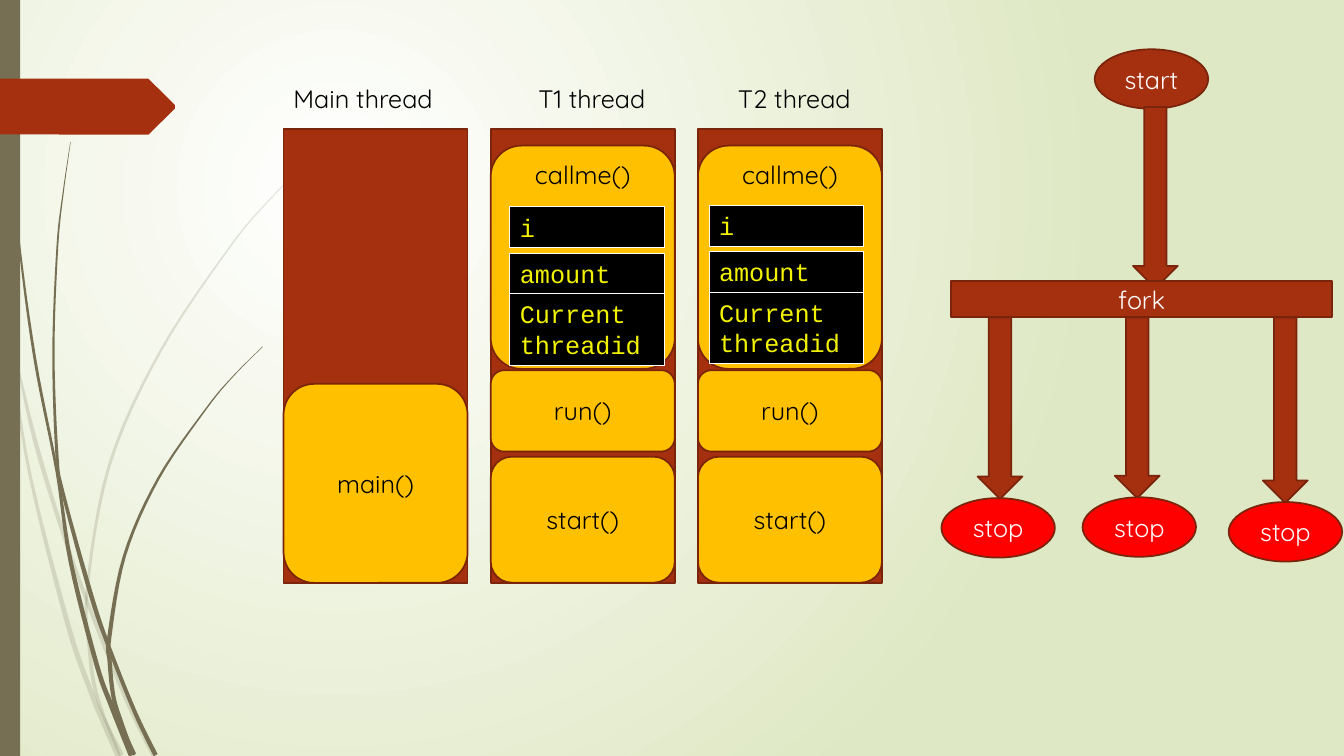
from math import hypot

from lxml.etree import SubElement
from pptx import Presentation
from pptx.dml.color import RGBColor
from pptx.enum.shapes import MSO_SHAPE
from pptx.enum.text import MSO_ANCHOR, PP_ALIGN
from pptx.oxml.ns import qn
from pptx.util import Pt

WHITE = RGBColor(0xFF, 0xFF, 0xFF)
BLACK = RGBColor(0x00, 0x00, 0x00)
PALE_GREEN = RGBColor(0xDF, 0xE8, 0xC4)
OLIVE = RGBColor(0x76, 0x6F, 0x54)
RUST = RGBColor(0xA5, 0x30, 0x10)
DARK_RUST = RGBColor(0x7A, 0x24, 0x0C)
AMBER = RGBColor(0xFF, 0xC0, 0x00)
RED = RGBColor(0xFF, 0x00, 0x00)
YELLOW = RGBColor(0xF2, 0xF2, 0x00)

BODY_FONT = "Quicksand"
CODE_FONT = "Courier New"

# Grass blades: centre x, centre y and thickness at each knot
PALE_BLADES = [
    [(0, 208.8, 2), (7.2, 249, 2), (21.2, 338, 2.2), (48.6, 446.4, 3.5),
     (65.5, 495.4, 3.6), (73.4, 514, 4.3), (85.7, 540, 6)],
    [(10, 248.4, 0.5), (24.3, 311.8, 3), (43.2, 375.1, 2.8), (62.6, 430.6, 2.6),
     (90, 499, 3), (109.8, 540, 3)],
    [(224.6, 110.2, 0.3), (193, 142.2, 0.7), (164.5, 176, 1), (114.5, 251, 1.7),
     (78.1, 332.3, 2.1), (62.3, 420.5, 2), (64.1, 465.1, 2.6), (69.5, 498, 2.6),
     (85.7, 540, 1.4)],
]
DARK_BLADES = [
    [(2.5, 0, 0.7), (5.4, 79, 0.9), (13, 167.4, 1.3), (24.8, 255.6, 2), (40.7, 337, 2),
     (50.4, 400.7, 3), (68.8, 473.8, 3.3), (79.6, 504, 3.6), (94.7, 539.4, 5.5)],
    [(50.4, 101.5, 0.3), (45, 139, 0.8), (41, 176.4, 1.3), (38.2, 251.3, 1.6),
     (40.7, 324.7, 2.2), (45, 352, 2.4), (65.2, 425.5, 3.2), (78.1, 463, 2.8),
     (96.5, 509, 2.9), (111.2, 539.4, 3.2)],
    [(187.5, 247.7, 0.3), (166.3, 269, 0.6), (147.2, 292, 1), (113, 342, 1.7),
     (88.9, 397, 2.2), (78.1, 455, 3), (78.3, 472.3, 3), (81, 497.5, 3),
     (86.4, 515.5, 3), (95.8, 539.4, 1.5)],
]


def write(shape, text, color, font=BODY_FONT, align=PP_ALIGN.CENTER, anchor=MSO_ANCHOR.MIDDLE):
    frame = shape.text_frame
    frame.text = text
    frame.vertical_anchor = anchor
    para = frame.paragraphs[0]
    para.alignment = align
    span = para.runs[0]
    span.font.size = Pt(18)
    span.font.name = font
    span.font.color.rgb = color


def add_block(page, kind, box, fill, line=DARK_RUST, weight=1.25):
    shape = page.shapes.add_shape(kind, *map(Pt, box))
    shape.shadow.inherit = False
    shape.fill.solid()
    shape.fill.fore_color.rgb = fill
    if line is None:
        shape.line.fill.background()
    else:
        shape.line.color.rgb = line
        shape.line.width = Pt(weight)
    return shape


def add_outline(page, points, fill):
    corners = [(Pt(x), Pt(y)) for x, y in points]
    builder = page.shapes.build_freeform(*corners[0])
    builder.add_line_segments(corners[1:], close=True)
    shape = builder.convert_to_shape()
    shape.shadow.inherit = False
    shape.fill.solid()
    shape.fill.fore_color.rgb = fill
    shape.line.fill.background()
    return shape


def smooth_curve(knots, steps=6):
    """Catmull-Rom spline through the knots."""
    padded = [knots[0], *knots, knots[-1]]
    curve = []
    for a, b, c, d in zip(padded, padded[1:], padded[2:], padded[3:]):
        for step in range(steps):
            t = step / steps
            curve.append(tuple(
                q + t / 2 * (r - p + t * (2 * p - 5 * q + 4 * r - s + t * (3 * (q - r) + s - p)))
                for p, q, r, s in zip(a, b, c, d)))
    return curve + [knots[-1]]


def add_blade(page, knots):
    curve = smooth_curve(knots)
    left, right = [], []
    for i, (x, y, thickness) in enumerate(curve):
        before, after = curve[max(i - 1, 0)], curve[min(i + 1, len(curve) - 1)]
        dx, dy = after[0] - before[0], after[1] - before[1]
        reach = thickness / 2 / hypot(dx, dy)
        left.append((x - dy * reach, y + dx * reach))
        right.append((x + dy * reach, y - dx * reach))
    return add_outline(page, left + right[::-1], OLIVE)


def add_backdrop(page, height):
    # Radial gradient centred in the upper left
    fill = page.background.fill
    fill.gradient()
    for stop, color in zip(fill.gradient_stops, (WHITE, PALE_GREEN)):
        stop.color.rgb = color
    linear = page.element.find(".//" + qn("a:lin"))
    gradient = linear.getparent()
    gradient.remove(linear)
    radial = SubElement(gradient, qn("a:path"), path="circle")
    SubElement(radial, qn("a:fillToRect"), l="50000", t="50000", r="100000", b="100000")

    # Grass, side bar and tag
    for knots in PALE_BLADES:
        blade = add_blade(page, knots)
        color = blade.element.find(".//" + qn("a:srgbClr"))
        SubElement(color, qn("a:alpha"), val="20000")
    for knots in DARK_BLADES:
        add_blade(page, knots)
    add_block(page, MSO_SHAPE.RECTANGLE, (0, 0, 14.4, height), OLIVE, None)
    add_outline(page, [(0, 56.2), (106, 56.2), (125, 75), (125, 77.5), (106, 96.2), (0, 96)], RUST)


def add_thread(page, box, title, title_indent, title_width, frames):
    left, top, width, height = box
    add_block(page, MSO_SHAPE.RECTANGLE, box, RUST)
    label = page.shapes.add_textbox(Pt(left + title_indent), Pt(top - 36), Pt(title_width), Pt(29))
    label.text_frame.word_wrap = False
    write(label, title, BLACK, align=PP_ALIGN.LEFT, anchor=MSO_ANCHOR.TOP)
    for name, offset, depth, anchor in frames:
        frame = add_block(page, MSO_SHAPE.ROUNDED_RECTANGLE,
                          (left, top + offset, width, depth), AMBER)
        write(frame, name, BLACK, anchor=anchor)


def add_locals(page, left, top):
    for name, offset, depth in (("Current threadid", 62, 51), ("amount", 33, 29), ("i", 0, 29)):
        cell = add_block(page, MSO_SHAPE.RECTANGLE, (left, top + offset, 110.4, depth),
                         BLACK, WHITE, 0.75)
        write(cell, name, YELLOW, CODE_FONT, PP_ALIGN.LEFT, MSO_ANCHOR.TOP)


def add_fork_flow(page, left, top):
    def oval(text, x, y, fill):
        write(add_block(page, MSO_SHAPE.OVAL, (left + x, top + y, 81, 42.5), fill), text, WHITE)

    def arrow(x, y, length):
        add_block(page, MSO_SHAPE.DOWN_ARROW, (left + x, top + y, 32, length), RUST)

    oval("start", 109.5, 0, RUST)
    arrow(136.8, 41.2, 129.6)
    bar = add_block(page, MSO_SHAPE.RECTANGLE, (left + 7, top + 165.8, 272, 25.4), RUST)
    write(bar, "fork", WHITE)
    branches = [(25.8, 0, 320.6), (123.8, 100.8, 320), (229.6, 205.2, 323.4)]
    for arrow_x, _, stop_y in branches:
        arrow(arrow_x, 191.6, stop_y - 191)
    for _, stop_x, stop_y in branches:
        oval("stop", stop_x, stop_y, RED)


def main():
    deck = Presentation()
    deck.slide_width, deck.slide_height = Pt(960), Pt(540)
    page = deck.slides.add_slide(deck.slide_layouts[6])
    add_backdrop(page, 540)

    # Call stacks, one column per thread
    left, top, width, height, pitch = 202.5, 92, 131.5, 324.5, 148
    worker_frames = [("start()", 234.2, 90, MSO_ANCHOR.MIDDLE),
                     ("run()", 172.4, 58.2, MSO_ANCHOR.MIDDLE),
                     ("callme()", 12, 159.5, MSO_ANCHOR.TOP)]
    threads = [("Main thread", 0, 124, [("main()", 182.2, 142.2, MSO_ANCHOR.MIDDLE)]),
               ("T1 thread", 27, 98, worker_frames),
               ("T2 thread", 21.5, 98, worker_frames)]
    for column, (title, indent, title_width, frames) in enumerate(threads):
        box = (left + column * pitch, top, width, height)
        add_thread(page, box, title, indent, title_width, frames)
    add_locals(page, 364.2, 147.8)
    add_locals(page, 506.5, 146.8)

    add_fork_flow(page, 672.5, 35.2)
    deck.save("out.pptx")


if __name__ == "__main__":
    main()
